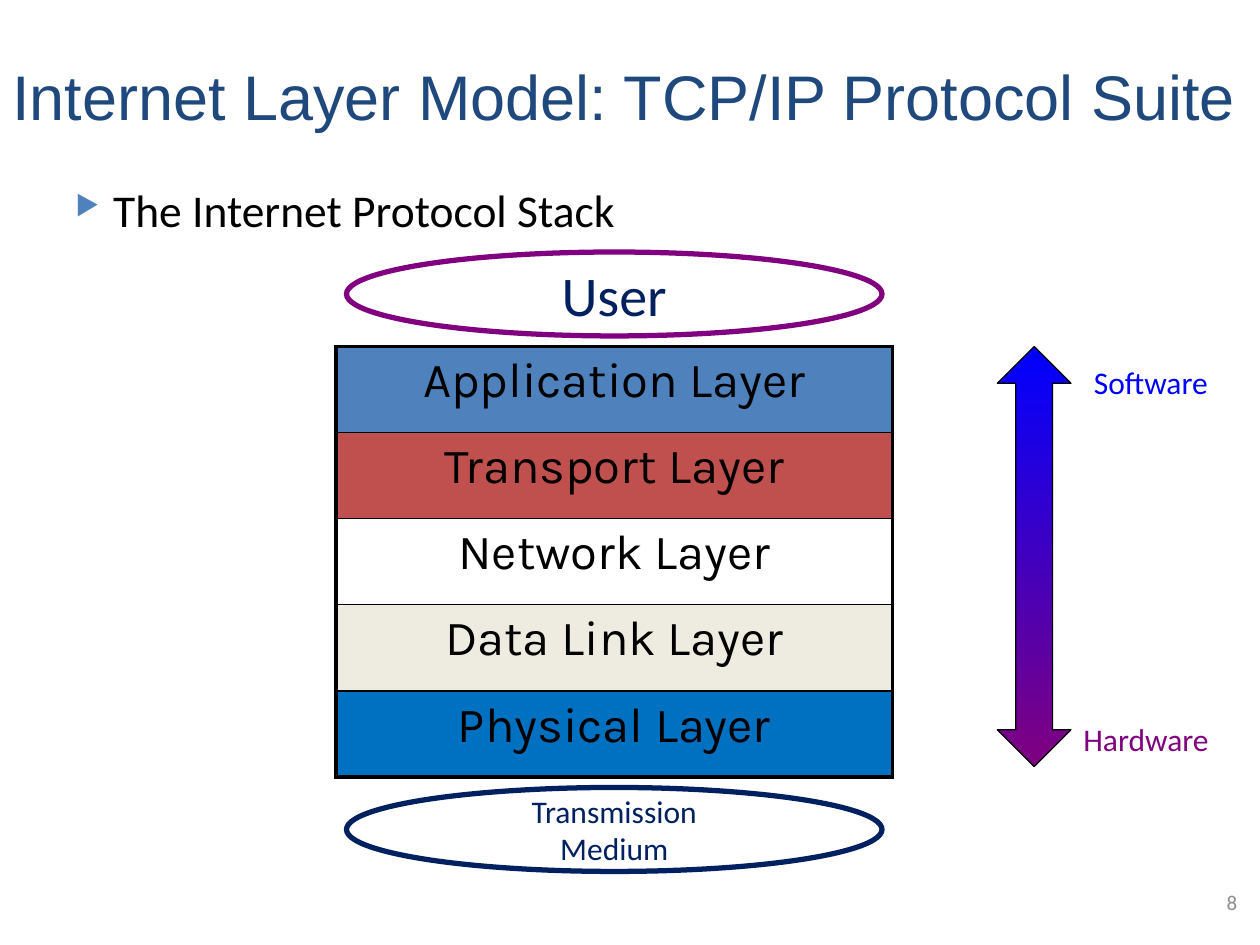
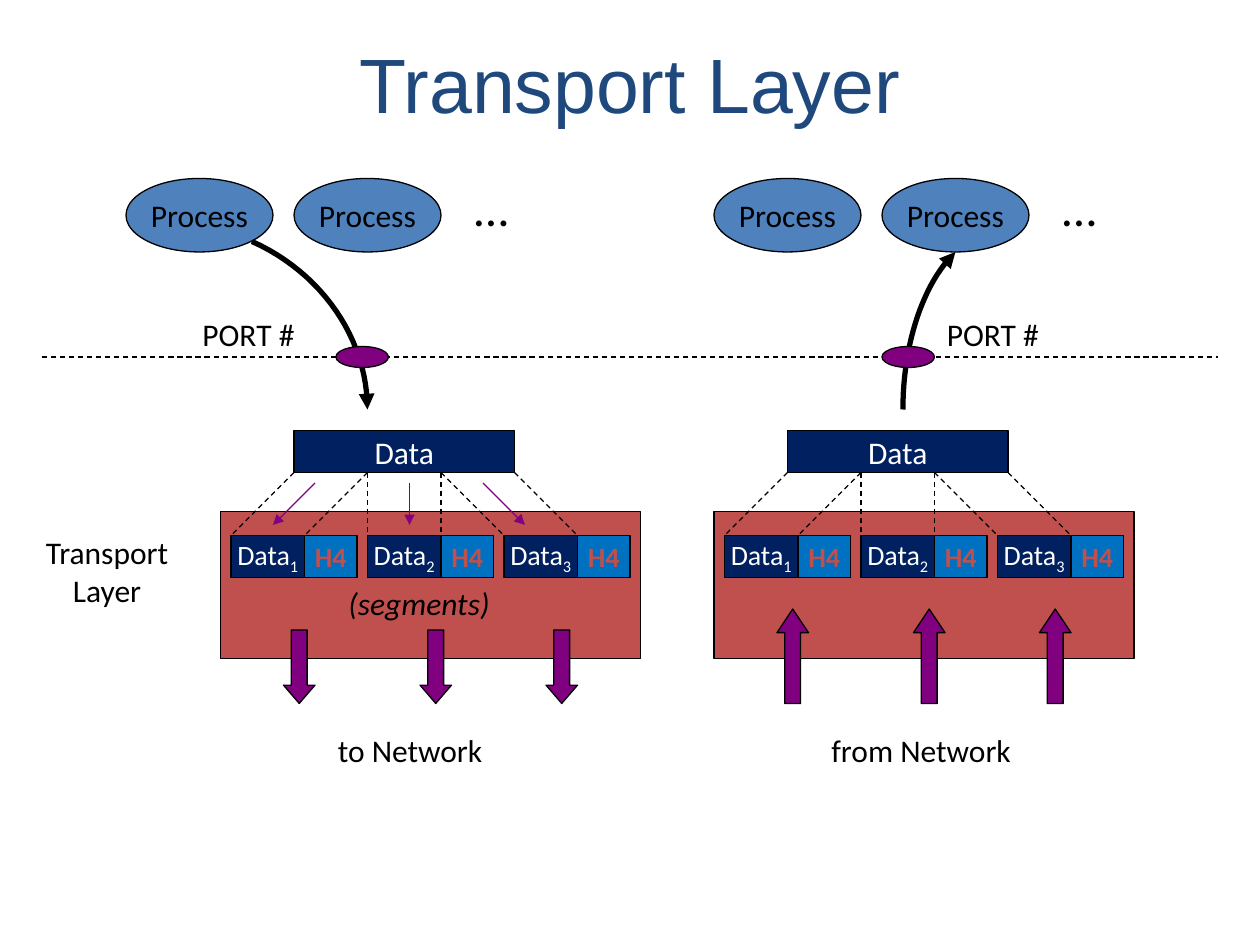
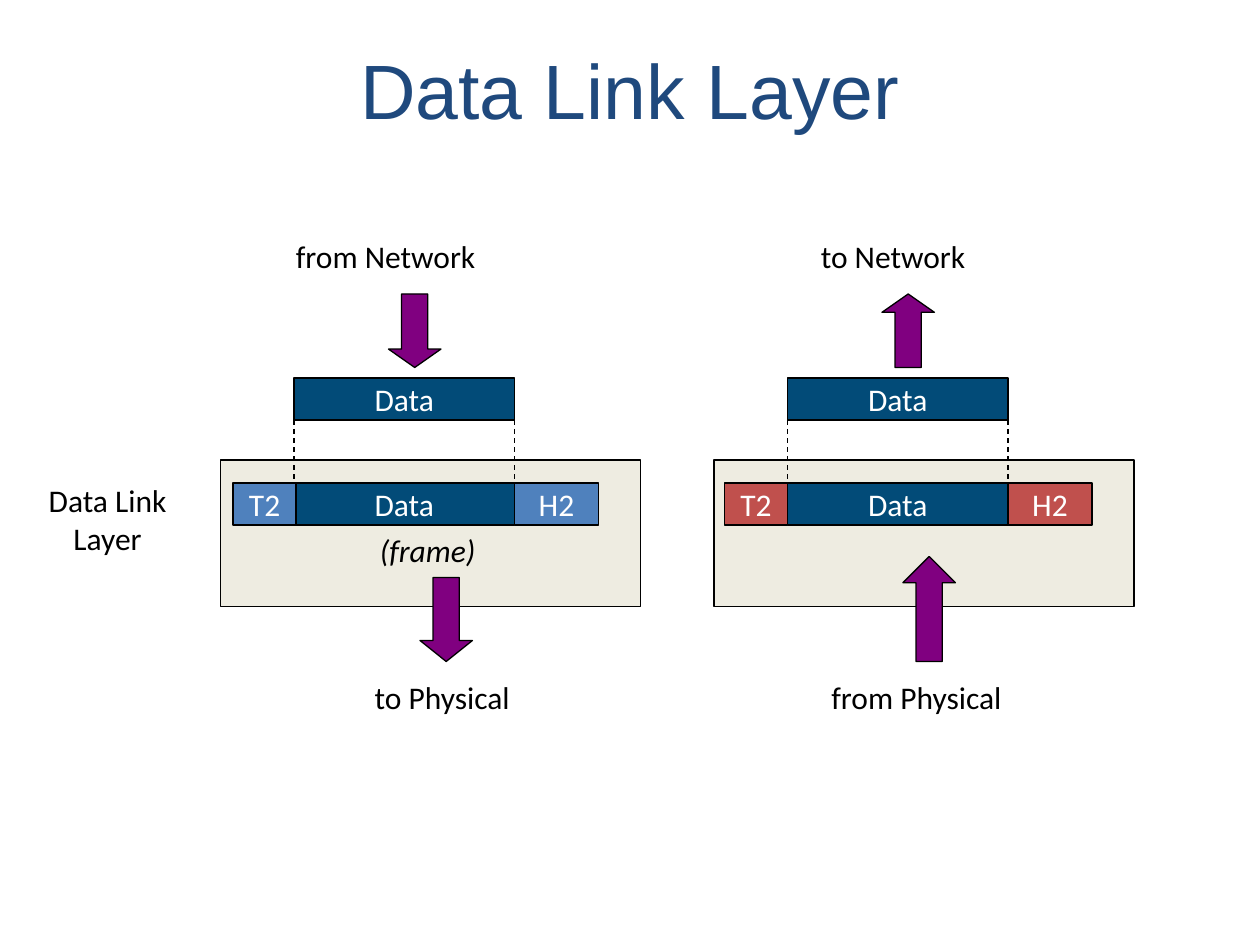
"""Build three slides on the Internet layer model, laid out on a grid of 120 columns by 90 rows."""
from lxml.etree import SubElement
from pptx import Presentation
from pptx.dml.color import RGBColor
from pptx.enum.dml import MSO_LINE
from pptx.enum.shapes import MSO_CONNECTOR, MSO_SHAPE
from pptx.enum.text import MSO_ANCHOR, PP_ALIGN
from pptx.oxml import parse_xml
from pptx.oxml.ns import nsdecls, qn
from pptx.util import Inches, Pt

C = {key: RGBColor.from_string(value) for key, value in {
    "title": "1F497D", "black": "000000", "white": "FFFFFF", "grey": "8C8C8C",
    "navy": "002060", "purple": "800080", "blue": "0000FF", "accent": "4F81BD",
    "red": "C0504D", "cream": "EEECE1", "bright": "0070C0", "teal": "024B78"}.items()}
U = Inches(10) // 120
PANEL_STEP = 47
RECT, OVAL = MSO_SHAPE.RECTANGLE, MSO_SHAPE.OVAL
DOWN, UP = MSO_SHAPE.DOWN_ARROW, MSO_SHAPE.UP_ARROW


def put(s, text, x, y, w, h, shape=None, fill="white", line="black", weight=0.75, adj=(),
        size=18, color="black", font="Calibri", bold=False, italic=False, sub="",
        align=None, anchor=None, wrap=False):
    """Add a text box, or a preset shape with centred text, on the grid."""
    box = [round(v * U) for v in (x, y, w, h)]
    if shape is None:
        sp = s.shapes.add_textbox(*box)
    else:
        sp = s.shapes.add_shape(shape, *box)
        sp.shadow.inherit = False
        sp.fill.solid()
        sp.fill.fore_color.rgb = C[fill]
        sp.line.color.rgb = C[line]
        sp.line.width = Pt(weight)
        for i, value in enumerate(adj):
            sp.adjustments[i] = value
        align, anchor = PP_ALIGN.CENTER, MSO_ANCHOR.MIDDLE
    if text:
        tf = sp.text_frame
        tf.word_wrap = wrap
        tf.vertical_anchor = anchor or MSO_ANCHOR.TOP
        p = tf.paragraphs[0]
        p.text = text
        p.alignment = align
        if sub:
            r = p.add_run()
            r.text = sub
            r._r.get_or_add_rPr().set("baseline", "-25000")
        for r in p.runs:
            r.font.name, r.font.size = font, Pt(size)
            r.font.bold, r.font.italic = bold, italic
            r.font.color.rgb = C[color]
    return sp


def join(s, x1, y1, x2, y2, color="black", arrow=False):
    """Add a thin line on the grid, dashed unless it is an arrow."""
    c = s.shapes.add_connector(MSO_CONNECTOR.STRAIGHT, *[round(v * U) for v in (x1, y1, x2, y2)])
    c.line.color.rgb = C[color]
    c.line.width = Pt(0.75)
    spPr = c._element.spPr
    if arrow:
        SubElement(spPr.find(qn("a:ln")), qn("a:tailEnd"), type="triangle")
    else:
        c.line.dash_style = MSO_LINE.DASH
    SubElement(spPr, qn("a:effectLst"))


prs = Presentation()
prs.slide_width, prs.slide_height = 120 * U, 90 * U
slides = []
for title, x, y, w, h, size, align in [
        ("Internet Layer Model: TCP/IP Protocol Suite", 0, 3.2, 122, 11.8, 36, PP_ALIGN.LEFT),
        ("Transport Layer", 6, 2, 108, 11.8, 44, PP_ALIGN.CENTER),
        ("Data Link Layer", 6, 2, 108, 13, 44, PP_ALIGN.CENTER)]:
    s = prs.slides.add_slide(prs.slide_layouts[6])
    put(s, title, x, y, w, h, size=size, color="title", font="Arial", align=align,
        anchor=MSO_ANCHOR.MIDDLE, wrap=True)
    slides.append(s)
stack, transport, link = slides

s = stack
put(s, "8", 91, 82.8, 28, 6.2, size=12, color="grey", align=PP_ALIGN.RIGHT,
    anchor=MSO_ANCHOR.MIDDLE, wrap=True)
sp = put(s, "The Internet Protocol Stack", 6, 16.7, 108, 63.3, size=26, wrap=True)
pPr = sp.text_frame.paragraphs[0]._p.get_or_add_pPr()
pPr.set("marL", str(Inches(0.3)))
pPr.set("indent", str(-Inches(0.3)))
SubElement(SubElement(pPr, qn("a:buClr")), qn("a:srgbClr"), val=str(C["accent"]))
SubElement(pPr, qn("a:buSzPct"), val="60000")
SubElement(pPr, qn("a:buChar"), char="▶")

layers = [("Application Layer", "accent"), ("Transport Layer", "red"), ("Network Layer", "white"),
          ("Data Link Layer", "cream"), ("Physical Layer", "bright")]
table = s.shapes.add_table(len(layers), 1, 32 * U, 33 * U, 53 * U, 41 * U).table
table.first_row = table.horz_banding = False
for i, (name, fill) in enumerate(layers):
    cell = table.cell(i, 0)
    tcPr = cell._tc.get_or_add_tcPr()
    top = 2.25 if i == 0 else 1
    bottom = 2.25 if i == len(layers) - 1 else 1
    for side, weight in zip("LRTB", (2.25, 2.25, top, bottom)):
        tcPr.append(parse_xml(
            f'<a:ln{side} {nsdecls("a")} w="{Pt(weight)}"><a:solidFill>'
            f'<a:srgbClr val="{C["black"]}"/></a:solidFill></a:ln{side}>'))
    cell.fill.solid()
    cell.fill.fore_color.rgb = C[fill]
    p = cell.text_frame.paragraphs[0]
    p.alignment = PP_ALIGN.CENTER
    r = p.add_run()
    r.text = name
    r.font.name, r.font.size = "Karla", Pt(28)
    r.font.color.rgb = C["black"]

for text, y, line, size in [("User", 24, "purple", 32), ("Transmission\nMedium", 75, "navy", 18)]:
    put(s, text, 33, y, 51, 8, OVAL, line=line, weight=3, size=size, color="navy")
sp = put(s, "", 95, 33, 7, 40, MSO_SHAPE.UP_DOWN_ARROW, adj=(1.14, 0.5))
sp.fill.gradient()
sp.fill.gradient_angle = 270
for position, (stop, color) in enumerate(zip(sp.fill.gradient_stops, ("blue", "purple"))):
    stop.color.rgb = C[color]
    stop.position = position
put(s, "Hardware", 102, 68, 15.2, 4.8, color="purple")
put(s, "Software", 103, 34, 14.2, 4.8, color="blue")

s = transport
join(s, 4, 34, 116, 34)
put(s, "Transport\nLayer", 2.6, 50.2, 15.2, 8.4, align=PP_ALIGN.CENTER)
for side, (arrow, y, h, head, label, w) in enumerate([
        (DOWN, 60, 7, 0.58, "to Network", 17),
        (UP, 58, 9, 0.75, "from Network", 20.5)]):
    dx = side * PANEL_STEP
    put(s, "", 21 + dx, 48.7, 40, 14, RECT, "red")
    put(s, "Data", 28 + dx, 41, 21, 4, RECT, "navy", color="white")
    for i, arrow_x in enumerate((27, 40, 52)):
        x, cut = 22 + 13 * i + dx, 28 + 7 * i + dx
        put(s, "Data", x, 51, 7, 4, RECT, "navy", size=16, color="white", sub=str(i + 1))
        put(s, "H4", x + 7, 51, 5, 4, RECT, "bright", size=16, color="red", bold=True)
        put(s, "", arrow_x + dx, y, 3, h, arrow, "purple", adj=(0.5, head))
        join(s, cut, 45, x, 51)
        join(s, cut + 7, 45, x + 7, 51)
    put(s, label, 31 + dx, 69, w, 4.8)
for x1, x2 in [(30, 26), (39, 39), (46, 50)]:
    join(s, x1, 46, x2, 50, "purple", arrow=True)
put(s, "(segments)", 32, 55, 17.4, 4.8, italic=True)

for x, port_x, label_x, curve in [
        (12, 32, 18.1, [(24, 23), (30.7, 26), (35, 32.3), (35, 39)]),
        (68, 84, 89, [(86, 39), (86, 32.6), (88, 26.9), (91, 24)])]:
    for i in range(2):
        put(s, "Process", x + 16 * i, 17, 14, 7, OVAL, "accent")
    put(s, "…", x + 32, 16.3, 6.2, 6.8, size=28)
    points = []
    for t in [i / 24 for i in range(25)]:
        weights = ((1 - t) ** 3, 3 * t * (1 - t) ** 2, 3 * t * t * (1 - t), t ** 3)
        points.append([U * sum(k * v for k, v in zip(weights, axis)) for axis in zip(*curve)])
    builder = s.shapes.build_freeform(*points[0])
    builder.add_line_segments(points[1:], close=False)
    sp = builder.convert_to_shape()
    sp.shadow.inherit = False
    sp.fill.background()
    sp.line.color.rgb = C["black"]
    sp.line.width = Pt(3)
    SubElement(sp._element.spPr.find(qn("a:ln")), qn("a:tailEnd"), type="triangle")
    put(s, "PORT #", label_x, 29.4, 13, 4.8)
    put(s, "", port_x, 33, 5, 2, OVAL, "purple")

s = link
put(s, "Data Link\nLayer", 2.8, 45.2, 14.9, 8.4, align=PP_ALIGN.CENTER)
for side, (arrow, fill, tail_x, top, top_x, top_w, bottom, bottom_x, bottom_w, x, y, h, head) in enumerate([
        (DOWN, "accent", 22.2, "from Network", 27, 20.5, "to Physical", 34.5, 16.4, 40, 55, 8, 0.4),
        (UP, "red", 69, "to Network", 77, 17, "from Physical", 78, 20, 86, 53, 10, 0.5)]):
    dx = side * PANEL_STEP
    put(s, "", 21 + dx, 43.8, 40, 14, RECT, "cream")
    for data_y in (36, 46):
        put(s, "Data", 28 + dx, data_y, 21, 4, RECT, "teal", color="white")
    put(s, "H2", 49 + dx, 46, 8, 4, RECT, fill, color="white")
    for edge in (28, 49):
        join(s, edge + dx, 40, edge + dx, 46)
    put(s, "T2", tail_x, 46, 6, 4, RECT, fill, color="white")
    put(s, "", 37 + dx, 28, 5, 7, arrow, "purple", adj=(0.5, 0.35))
    put(s, "", x, y, 5, h, arrow, "purple", adj=(0.5, head))
    put(s, top, top_x, 22, top_w, 4.8)
    put(s, bottom, bottom_x, 64, bottom_w, 4.8)
put(s, "(frame)", 35, 50, 12.5, 4.8, italic=True)

prs.save("out.pptx")
